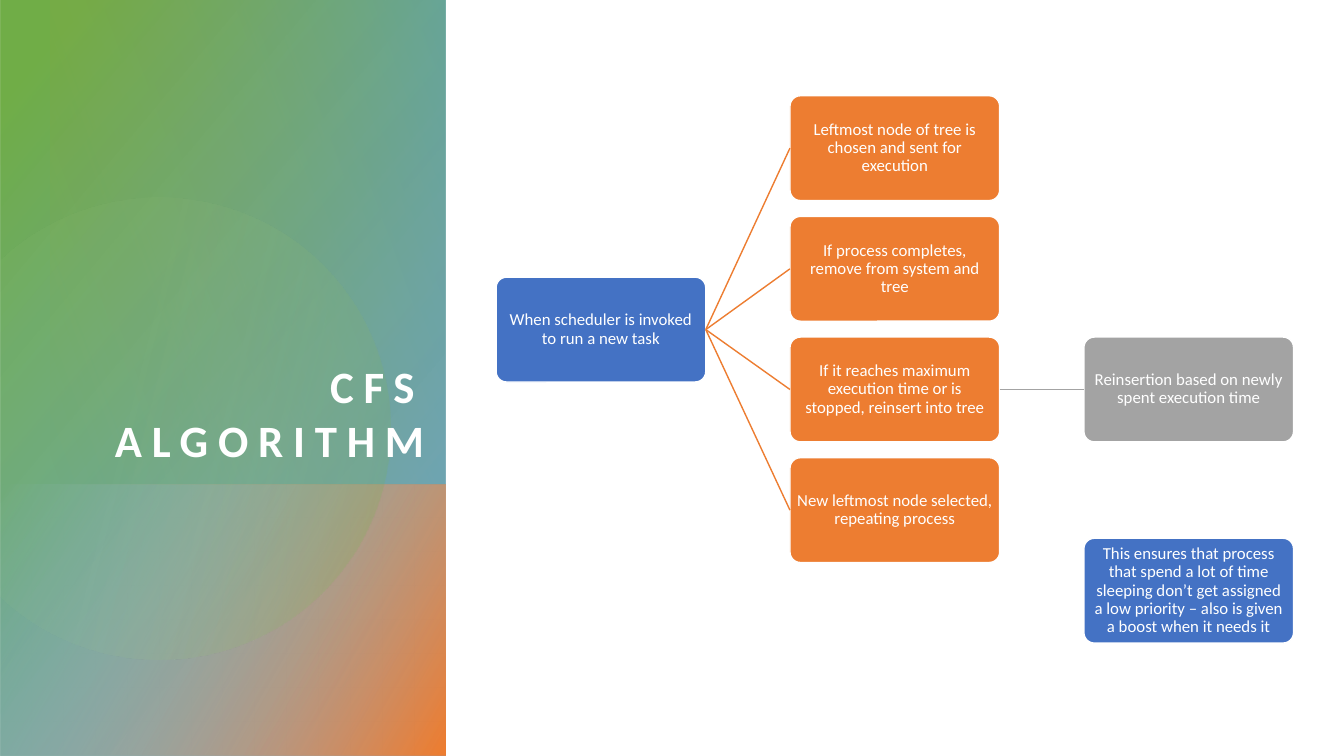
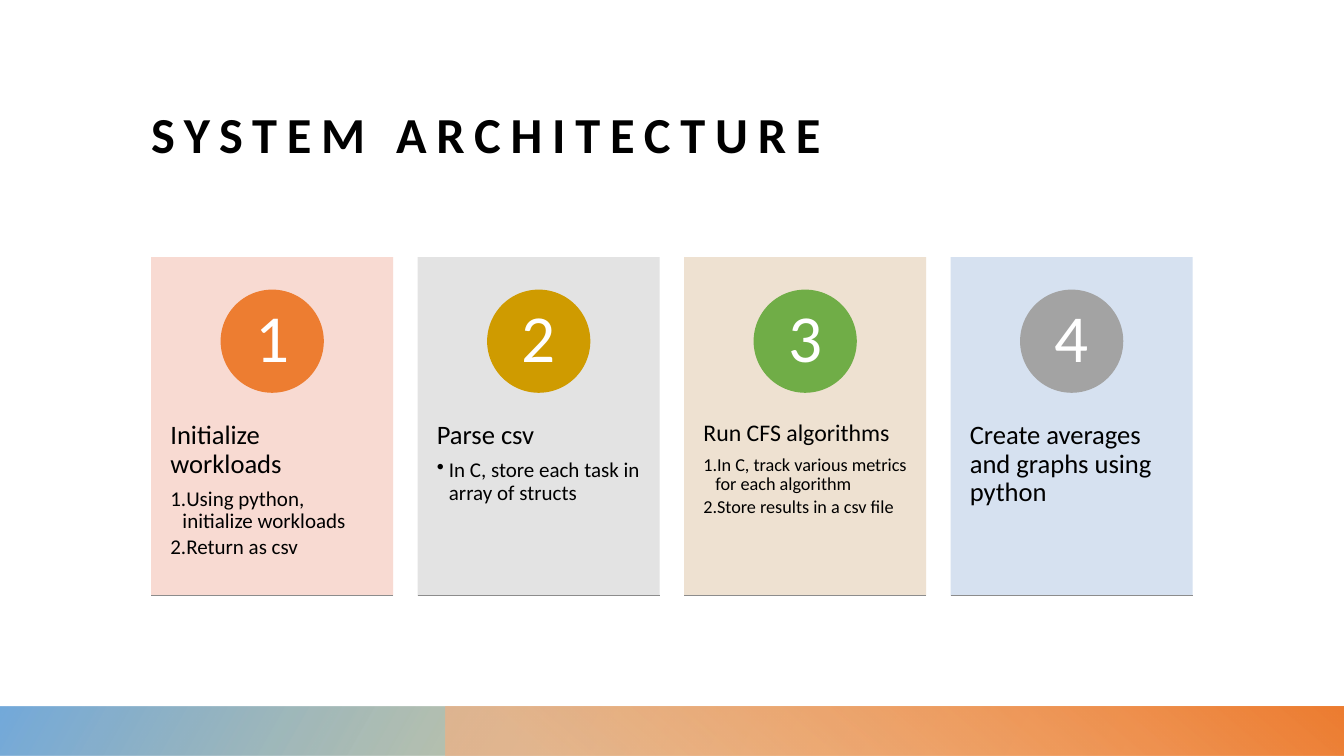
import math

import lxml.etree
import pptx
import pptx.dml.color
import pptx.enum.shapes
import pptx.enum.text
import pptx.oxml
import pptx.oxml.ns
import pptx.util

Inches, Pt = pptx.util.Inches, pptx.util.Pt
qn = pptx.oxml.ns.qn
SHAPE = pptx.enum.shapes.MSO_SHAPE
ALIGN = pptx.enum.text.PP_ALIGN
ANCHOR = pptx.enum.text.MSO_ANCHOR

FONT = "Calibri"
WHITE, BLACK = "FFFFFF", "000000"
BLUE, ORANGE, GREY = "4472C4", "ED7D31", "A3A3A3"
GREEN, GOLD, SKY = "70AD47", "CF9B00", "5B9BD5"
RULE = "8C8C8C"
PANEL_WIDTH, PANEL_SPLIT = 4.42, 4.81

# Gradient areas: left, top, width, height as seen, rotation, angle, stops
PANEL_TOP = [((0, 0, PANEL_WIDTH, 7.5), 270, 50, [(8, GREEN, 100), (100, SKY, 89)]),
             ((0, PANEL_SPLIT, PANEL_WIDTH, 2.69), 270, 60,
              [(0, "9DC3E6", 0), (99, ORANGE, 100)])]
PANEL_GLOW = ((0.5, 0, 3.92, PANEL_SPLIT), 90, 110, [(0, SKY, 29), (100, GOLD, 0)])
FOOTER_BANDS = [((0, 7.01, 13.33, 0.49), 180, 150, [(14, GOLD, 28), (100, SKY, 85)]),
                ((PANEL_WIDTH, 7.01, 8.92, 0.49), 0, 230,
                 [(9, "F4B183", 68), (99, ORANGE, 100)])]

# Flow nodes: text, colour, column, top, index of the parent node
NODE_SIZE, NODE_LEFT, COLUMN_STEP = (2.08, 1.04), 4.92, 2.915
STEP_TOPS = [0.95 + 1.197 * row for row in range(4)]
NODES = [
    ("When scheduler is invoked to run a new task", BLUE, 0, 2.75, None),
    ("Leftmost node of tree is chosen and sent for execution", ORANGE, 1, STEP_TOPS[0], 0),
    ("If process completes, remove from system and tree", ORANGE, 1, STEP_TOPS[1], 0),
    ("If it reaches maximum execution time or is stopped, reinsert into tree",
     ORANGE, 1, STEP_TOPS[2], 0),
    ("New leftmost node selected, repeating process", ORANGE, 1, STEP_TOPS[3], 0),
    ("Reinsertion based on newly spent execution time", GREY, 2, STEP_TOPS[2], 3),
    ("This ensures that process that spend a lot of time sleeping don’t get assigned a "
     "low priority – also is given a boost when it needs it", BLUE, 2, 5.34, None),
]

# Cards: heading, heading size, details, detail size, numbered, card colour, badge colour
CARDS = [
    ("Initialize workloads", 19, ["Using python, initialize workloads", "Return as csv"],
     15, True, "F8D7CE", ORANGE),
    ("Parse csv", 19, ["In C, store each task in array of structs"],
     15, False, "E0E0E0", GOLD),
    ("Run CFS algorithms", 17,
     ["In C, track various metrics for each algorithm", "Store results in a csv file"],
     13, True, "EDDECC", GREEN),
    ("Create averages and graphs using python", 19, [], 15, False, "D2DEEF", GREY),
]
CARD_LEFT, CARD_TOP, CARD_WIDTH, CARD_HEIGHT, CARD_STEP = 1.5, 2.55, 2.4, 3.36, 2.643
BADGE = 1.01


def rgb(colour):
    return pptx.dml.color.RGBColor.from_string(colour)


def inches(*lengths):
    return [Inches(length) for length in lengths]


def sub(parent, tag, **attributes):
    child = lxml.etree.SubElement(parent, qn(tag))
    for key, value in attributes.items():
        child.set(key, str(value))
    return child


def add_filled(slide, kind, box, colour, outline=None):
    shape = slide.shapes.add_shape(kind, *inches(*box))
    shape.shadow.inherit = False
    shape.fill.solid()
    shape.fill.fore_color.rgb = rgb(colour)
    if outline:
        shape.line.color.rgb = rgb(outline)
        shape.line.width = Pt(1)
    else:
        shape.line.fill.background()
    return shape


def set_gradient(shape, angle, stops):
    """Fill with (position %, colour, opacity %) stops and drop line and shadow."""
    shape.shadow.inherit = False
    shape.line.fill.background()
    shape.fill.background()
    properties = shape.element.spPr
    gradient = lxml.etree.Element(qn("a:gradFill"), rotWithShape="1")
    stop_list = sub(gradient, "a:gsLst")
    for position, colour, opacity in stops:
        stop = sub(stop_list, "a:gs", pos=position * 1000)
        sub(sub(stop, "a:srgbClr", val=colour), "a:alpha", val=opacity * 1000)
    sub(gradient, "a:lin", ang=angle * 60000, scaled=0)
    properties.replace(properties.find(qn("a:noFill")), gradient)


def add_gradient_area(slide, box, rotation, angle, stops):
    """Add a mirrored gradient rectangle that covers box after its rotation."""
    left, top, width, height = box
    if rotation in (90, 270):
        shift = (width - height) / 2
        left, top, width, height = left + shift, top - shift, height, width
    area = slide.shapes.add_shape(SHAPE.RECTANGLE, *inches(left, top, width, height))
    area.rotation = rotation
    area.element.spPr.find(qn("a:xfrm")).set("flipH", "1")
    set_gradient(area, angle, stops)


def add_clipped_circle(slide, centre_x, centre_y, radius):
    """Add a see-through circle cut off at the left slide edge."""
    limit = math.acos(-centre_x / radius)
    steps = 120
    angles = [limit * (2 * i / steps - 1) for i in range(steps + 1)]
    points = [inches(max(0, centre_x + radius * math.cos(a)), centre_y + radius * math.sin(a))
              for a in angles]
    builder = slide.shapes.build_freeform(*points[0])
    builder.add_line_segments(points[1:], close=True)
    set_gradient(builder.convert_to_shape(), 14, [(36, "A9D18E", 6), (100, GREEN, 26)])


def set_frame(frame, insets, anchor):
    frame.word_wrap = True
    frame.auto_size = pptx.enum.text.MSO_AUTO_SIZE.NONE
    frame.vertical_anchor = anchor
    frame.margin_left = frame.margin_right = Inches(insets[0])
    frame.margin_top = frame.margin_bottom = Inches(insets[1])


def write(paragraph, text, size, colour, align=ALIGN.LEFT, bold=False):
    paragraph.text = text
    paragraph.alignment = align
    for run in paragraph.runs:
        run.font.name = FONT
        run.font.size = Pt(size)
        run.font.bold = bold
        run.font.color.rgb = rgb(colour)


def set_title(slide, text, box, size, colour, align):
    title = slide.shapes.title
    title.left, title.top, title.width, title.height = inches(*box)
    set_frame(title.text_frame, (0, 0), ANCHOR.BOTTOM)
    paragraph = title.text_frame.paragraphs[0]
    write(paragraph, text, size, colour, align, bold=True)
    paragraph.runs[0].font.element.set("spc", "700") if hasattr(
        paragraph.runs[0].font, "element") else paragraph.runs[0]._r.get_or_add_rPr().set("spc", "700")
    title.element.getparent().append(title.element)


def add_line(slide, start, end, colour, width):
    line = slide.shapes.add_connector(pptx.enum.shapes.MSO_CONNECTOR.STRAIGHT,
                                      *inches(*start, *end))
    line.line.color.rgb = rgb(colour)
    line.line.width = Pt(width)
    sub(line.element.spPr, "a:effectLst")
    return line


def add_node(slide, text, colour, column, top):
    left = NODE_LEFT + column * COLUMN_STEP
    node = add_filled(slide, SHAPE.ROUNDED_RECTANGLE, (left, top, *NODE_SIZE), colour, WHITE)
    node.adjustments[0] = 0.1
    set_frame(node.text_frame, (0.04, 0.04), ANCHOR.MIDDLE)
    paragraph = node.text_frame.paragraphs[0]
    write(paragraph, text, 12, WHITE, ALIGN.CENTER)
    paragraph.line_spacing = 0.9
    return node


def set_bullet(paragraph, numbered):
    properties = paragraph._p.get_or_add_pPr()
    properties.set("marL", str(Inches(0.12)))
    properties.set("indent", str(-Inches(0.12)))
    if numbered:
        sub(properties, "a:buAutoNum", type="arabicPeriod")
    else:
        sub(properties, "a:buChar", char="•")


def add_card(slide, number, card):
    heading, heading_size, details, detail_size, numbered, colour, badge_colour = card
    left = CARD_LEFT + (number - 1) * CARD_STEP
    bottom = CARD_TOP + CARD_HEIGHT
    panel = add_filled(slide, SHAPE.RECTANGLE, (left, CARD_TOP, CARD_WIDTH, CARD_HEIGHT), colour)
    sub(panel.element.spPr.find(qn("a:solidFill"))[0], "a:alpha", val=90000)

    body = slide.shapes.add_textbox(*inches(left, 3.82, CARD_WIDTH, 2.02)).text_frame
    set_frame(body, (0.19, 0.36), ANCHOR.TOP)
    write(body.paragraphs[0], heading, heading_size, BLACK)
    body.paragraphs[0].space_after = Pt(heading_size * 0.35)
    for detail in details:
        paragraph = body.add_paragraph()
        write(paragraph, detail, detail_size, BLACK)
        paragraph.level = 1
        paragraph.space_after = Pt(detail_size * 0.15)
    for paragraph in body.paragraphs:
        paragraph.line_spacing = 0.9
    for paragraph in body.paragraphs[1:]:
        set_bullet(paragraph, numbered)

    badge_left = left + (CARD_WIDTH - BADGE) / 2
    badge = add_filled(slide, SHAPE.OVAL, (badge_left, 2.88, BADGE, BADGE),
                       badge_colour, badge_colour)
    set_frame(badge.text_frame, (0.08, 0.01), ANCHOR.MIDDLE)
    write(badge.text_frame.paragraphs[0], str(number), 48, WHITE, ALIGN.CENTER)
    badge.text_frame.paragraphs[0].line_spacing = 0.9
    add_line(slide, (left, bottom), (left + CARD_WIDTH, bottom), RULE, 0.75)


def build_algorithm(slide):
    for area in PANEL_TOP:
        add_gradient_area(slide, *area)
    add_clipped_circle(slide, 1.58, 4.25, 2.29)
    add_gradient_area(slide, *PANEL_GLOW)
    set_title(slide, "CFS ALGORITHM", (0.5, 0.95, 3.71, 3.68), 32, WHITE, ALIGN.RIGHT)
    nodes = [add_node(slide, *node[:4]) for node in NODES]
    for node, (_, colour, _, _, parent) in zip(nodes, NODES):
        if parent is not None:
            link = add_line(slide, (0, 0), (1, 1), colour, 1)
            link.begin_connect(nodes[parent], 3)
            link.end_connect(node, 1)


def build_architecture(slide):
    set_title(slide, "SYSTEM ARCHITECTURE", (1.5, 0.52, 10.33, 1.1), 36, BLACK, ALIGN.LEFT)
    for band in FOOTER_BANDS:
        add_gradient_area(slide, *band)
    for number, card in enumerate(CARDS, 1):
        add_card(slide, number, card)


def main():
    deck = pptx.Presentation()
    deck.slide_width, deck.slide_height = inches(13.33, 7.5)
    for build in (build_algorithm, build_architecture):
        build(deck.slides.add_slide(deck.slide_layouts[5]))
    deck.save("out.pptx")


if __name__ == "__main__":
    main()
